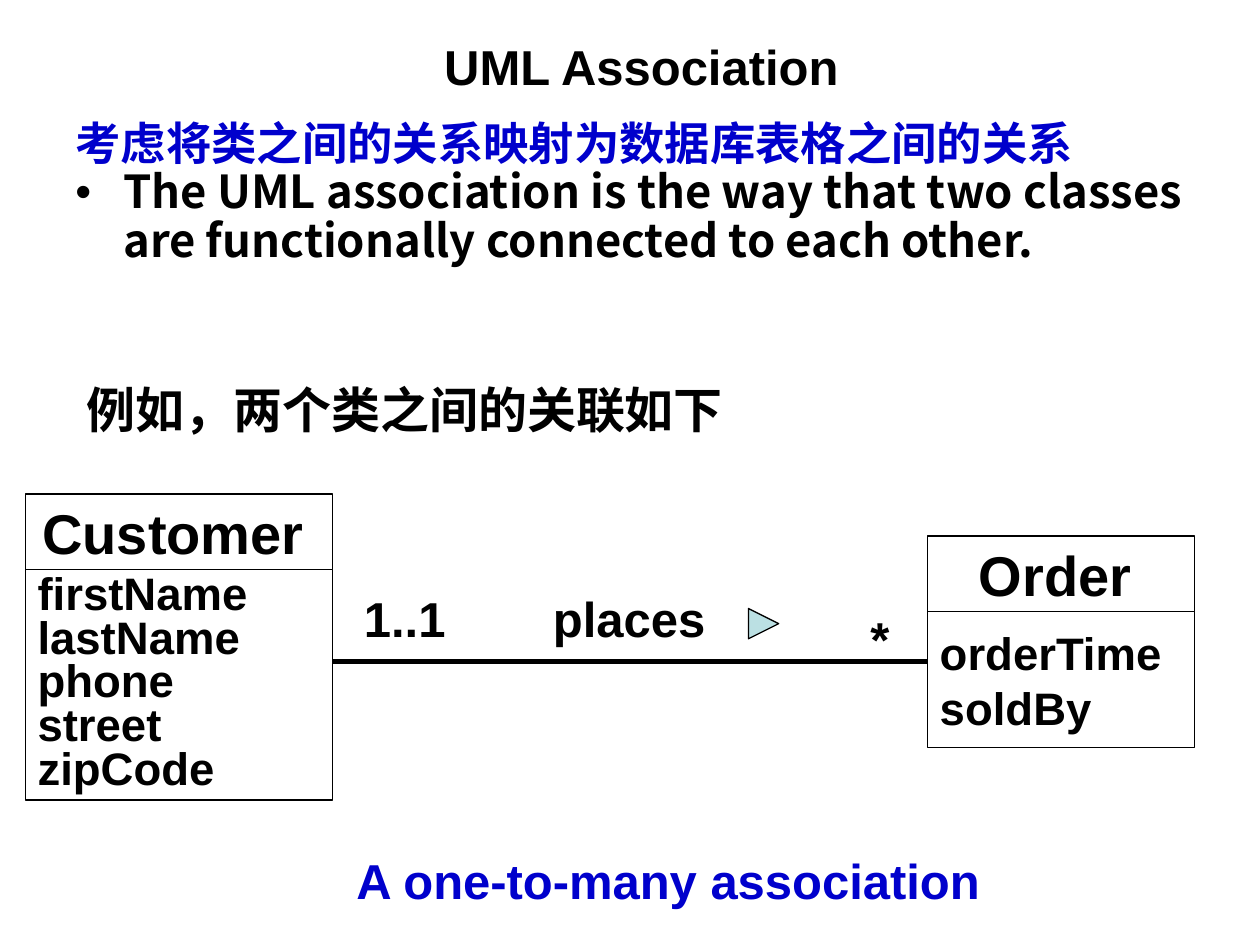
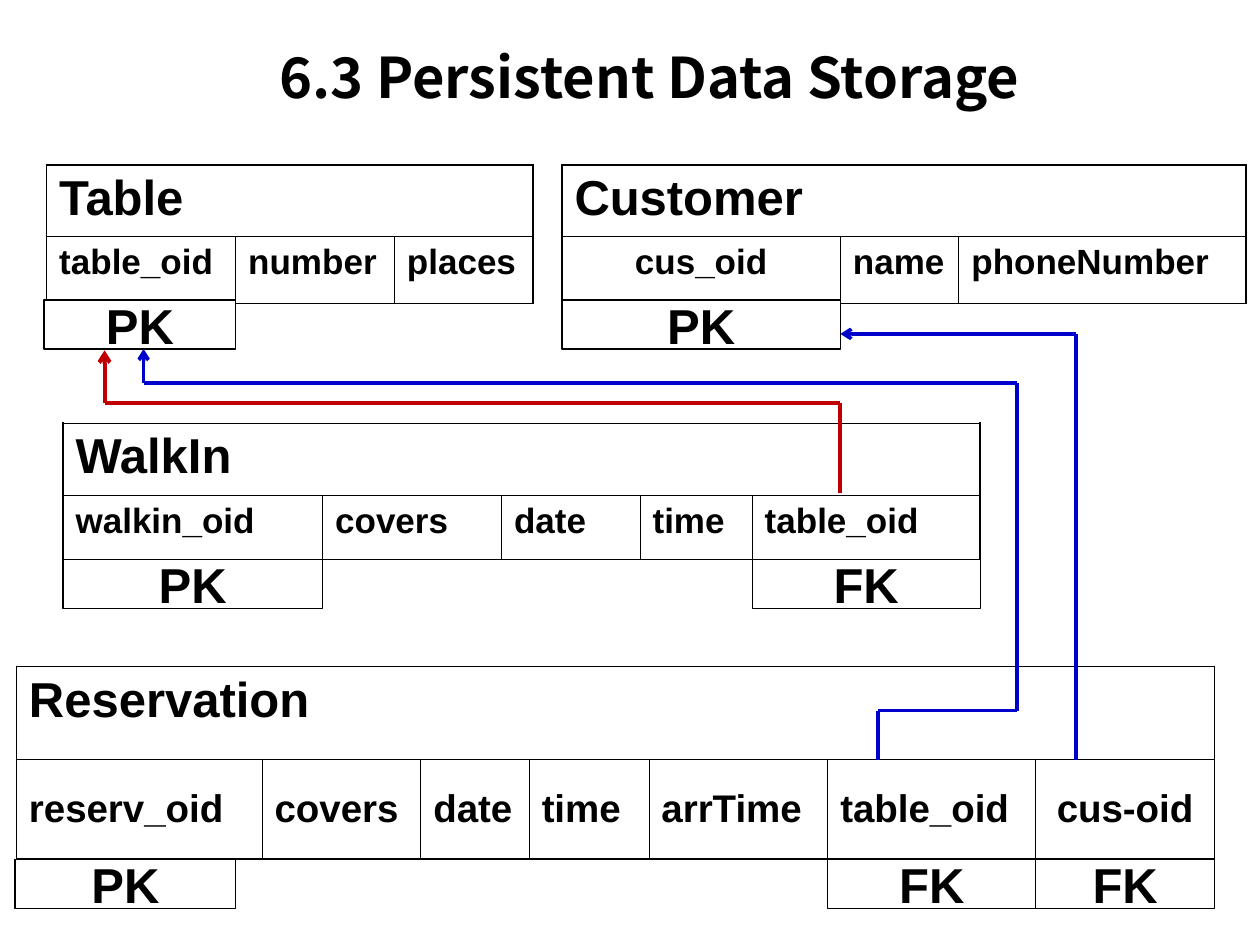
from dataclasses import dataclass
from itertools import pairwise

from lxml.etree import SubElement
from pptx import Presentation
from pptx.dml.color import RGBColor
from pptx.enum.shapes import MSO_CONNECTOR as LINE, MSO_SHAPE as SHAPE
from pptx.enum.text import MSO_ANCHOR as ANCHOR, PP_ALIGN as ALIGN
from pptx.oxml.ns import qn
from pptx.util import Emu, Inches, Pt

BLACK = RGBColor(0x00, 0x00, 0x00)
WHITE = RGBColor(0xFF, 0xFF, 0xFF)
BLUE = RGBColor(0x00, 0x00, 0xCC)
RED = RGBColor(0xC0, 0x00, 0x00)
PALE_TEAL = RGBColor(0xBB, 0xE0, 0xE3)
LATIN, CJK = "Arial", "Noto Sans CJK SC"

# The slide is a grid of 100 columns by 75 square rows.
WIDTH, HEIGHT = Inches(10), Inches(7.5)
UNIT = WIDTH / 100
OUTER, INNER = 1.08, 0.45
KEY_HEIGHT = 3.9


@dataclass(frozen=True)
class Box:
    left: float
    top: float
    width: float
    height: float

    def emu(self):
        return [grid(n) for n in (self.left, self.top, self.width, self.height)]


@dataclass(frozen=True)
class Style:
    size: float
    colour: RGBColor = BLACK
    font: str = LATIN


LABEL = Style(28)


@dataclass(frozen=True)
class Label:
    text: str
    box: Box
    style: Style = LABEL


@dataclass(frozen=True)
class UmlClass:
    name: str
    attributes: tuple[str, ...]
    left: float
    top: float
    width: float
    body_height: float
    spacing: float = 1.0
    header_height: float = 6


@dataclass(frozen=True)
class Key:
    text: str
    column: int
    left: float | None = None
    width: float | None = None


@dataclass(frozen=True)
class Relation:
    name: str
    fields: tuple[str, ...]
    left: float
    top: float
    columns: tuple[float, ...]
    rows: tuple[float, float]
    keys: tuple[Key, ...]
    key_top: float
    size: float = 20
    anchor: ANCHOR = ANCHOR.TOP
    centred: str = ""


@dataclass(frozen=True)
class Route:
    """A right-angled path along grid points, with an arrowhead at its end."""
    colour: RGBColor
    weight: float
    points: tuple[tuple[float, float], ...]


LABELS = (
    Label("1..1", Box(27.9, 46.2, 8.7, 5.7)),
    Label("*", Box(68.1, 47.8, 4.7, 5.7)),
    Label("places", Box(42.9, 46.2, 15, 5.7)),
    Label("A one-to-many association", Box(27.3, 67, 52.7, 5.2), Style(28, BLUE)),
    Label("例如，两个类之间的关联如下", Box(5.9, 29.6, 57.5, 5.7),
          Style(28, font=CJK)),
)
CLASSES = (
    UmlClass("Customer", ("firstName", "lastName", "phone", "street", "zipCode"),
             2, 39.2, 24.4, 18.3, spacing=0.8),
    UmlClass("Order", ("orderTime", "soldBy"), 73.6, 42.55, 21.2, 10.8),
)
RELATIONS = (
    Relation("WalkIn", ("walkin_oid", "covers", "date", "time", "table_oid"),
             5, 33.6, (20.6, 14.2, 11, 8.9, 18.1), (5.7, 5.1),
             (Key("PK", 0), Key("FK", 4)), 44.4),
    Relation("Reservation",
             ("reserv_oid", "covers", "date", "time", "arrTime", "table_oid", "cus-oid"),
             1.3, 52.9, (19.5, 12.6, 8.6, 9.5, 14.2, 16.5, 14.2), (7.4, 7.9),
             (Key("PK", 0, 1.2, 17.5), Key("FK", 6), Key("FK", 5)), 68.2,
             size=22, anchor=ANCHOR.MIDDLE, centred="cus-oid"),
    Relation("Table", ("table_oid", "number", "places"),
             3.7, 13.1, (15, 12.6, 11), (5.7, 5.3),
             (Key("PK", 0, 3.5, 15.2),), 23.8),
    Relation("Customer", ("cus_oid", "name", "phoneNumber"),
             44.6, 13.1, (22.1, 9.4, 22.8), (5.7, 5.3),
             (Key("PK", 0),), 23.8, centred="cus_oid"),
)
ROUTES = (
    Route(BLUE, 2, ((85.4, 60.3), (85.4, 26.5), (66.7, 26.5))),
    Route(BLUE, 2, ((69.7, 60.3), (69.7, 56.4), (80.7, 56.4), (80.7, 30.4),
                    (11.4, 30.4), (11.4, 27.7))),
    Route(RED, 2.25, ((66.7, 39.1), (66.7, 32), (8.3, 32), (8.3, 27.8))),
)


def grid(n: float) -> Emu:
    return Emu(round(n * UNIT))


def add_run(p, text: str, style: Style):
    r = p.add_run()
    r.text = text
    r.font.size, r.font.bold, r.font.name = Pt(style.size), True, style.font
    r.font.color.rgb = style.colour
    SubElement(r.font._element, qn("a:ea"), typeface=style.font)


def fill_frame(tf, lines, style: Style, align=ALIGN.LEFT, anchor=ANCHOR.TOP,
               spacing: float = 1.0):
    """Write one paragraph per line into a wrapping text frame."""
    tf.word_wrap = True
    tf.vertical_anchor = anchor
    for i, line in enumerate(lines):
        p = tf.add_paragraph() if i else tf.paragraphs[0]
        p.alignment, p.line_spacing = align, spacing
        add_run(p, line, style)


def add_text(s, box: Box, text: str, style: Style, **layout):
    sp = s.shapes.add_textbox(*box.emu())
    fill_frame(sp.text_frame, [text], style, **layout)


def add_title(s, box: Box, text: str, style: Style):
    add_text(s, box, text, style, align=ALIGN.CENTER, anchor=ANCHOR.MIDDLE)


def add_panel(s, box: Box, kind=SHAPE.RECTANGLE, fill: RGBColor = WHITE):
    sp = s.shapes.add_shape(kind, *box.emu())
    sp.shadow.inherit = False
    sp.fill.solid()
    sp.fill.fore_color.rgb = fill
    sp.line.color.rgb, sp.line.width = BLACK, Pt(0.75)
    return sp


def add_line(s, start, end, colour: RGBColor, weight: float, arrow: bool = False):
    points = [grid(n) for n in (*start, *end)]
    cx = s.shapes.add_connector(LINE.STRAIGHT, *points)
    cx.line.color.rgb, cx.line.width = colour, Pt(weight)
    if arrow:
        SubElement(cx.line._get_or_add_ln(), qn("a:tailEnd"), type="arrow")
    SubElement(cx._element.spPr, qn("a:effectLst"))


def add_route(s, route: Route):
    legs = list(pairwise(route.points))
    for i, (start, end) in enumerate(legs, 1):
        add_line(s, start, end, route.colour, route.weight, i == len(legs))


def add_class(s, uml: UmlClass):
    header = add_panel(s, Box(uml.left, uml.top, uml.width, uml.header_height))
    header.text_frame.margin_right = grid(1.9)
    fill_frame(header.text_frame, [uml.name], Style(32), ALIGN.CENTER, ANCHOR.MIDDLE)
    body = add_panel(s, Box(uml.left, uml.top + uml.header_height,
                            uml.width, uml.body_height))
    fill_frame(body.text_frame, uml.attributes, Style(26),
               anchor=ANCHOR.MIDDLE, spacing=uml.spacing)


def set_borders(cell, weights: dict[str, float]):
    tc_pr = cell._tc.get_or_add_tcPr()
    for side, weight in weights.items():
        ln = SubElement(tc_pr, qn(f"a:ln{side}"), w=str(Pt(weight)))
        SubElement(SubElement(ln, qn("a:solidFill")), qn("a:srgbClr"), val=str(BLACK))


def add_relation(s, rel: Relation):
    """Draw a table with its name above its fields, and key boxes below."""
    count = len(rel.columns)
    box = Box(rel.left, rel.top, sum(rel.columns), sum(rel.rows))
    table = s.shapes.add_table(2, count, *box.emu()).table
    table.first_row = table.horz_banding = False
    for column, width in zip(table.columns, rel.columns):
        column.width = grid(width)
    for y, height in enumerate(rel.rows):
        table.rows[y].height = grid(height)
        for x in range(count):
            cell = table.cell(y, x)
            set_borders(cell, {
                "L": OUTER if x == 0 else INNER,
                "R": OUTER if x == count - 1 or y == 0 else INNER,
                "T": OUTER if y == 0 else INNER,
                "B": OUTER if y == 1 else INNER,
            })
            cell.fill.background()
    table.cell(0, 0).merge(table.cell(0, count - 1))
    add_run(table.cell(0, 0).text_frame.paragraphs[0], rel.name, LABEL)
    for x, field in enumerate(rel.fields):
        cell = table.cell(1, x)
        cell.vertical_anchor = rel.anchor
        p = cell.text_frame.paragraphs[0]
        p.alignment = ALIGN.CENTER if field == rel.centred else ALIGN.LEFT
        add_run(p, field, Style(rel.size))
    for key in rel.keys:
        left = key.left or rel.left + sum(rel.columns[:key.column])
        width = key.width or rel.columns[key.column]
        sp = add_panel(s, Box(left, rel.key_top, width, KEY_HEIGHT))
        fill_frame(sp.text_frame, [key.text], LABEL, ALIGN.CENTER, ANCHOR.MIDDLE)


def add_definition(s):
    sp = s.shapes.add_textbox(*Box(5, 9.1, 90, 18.9).emu())
    tf = sp.text_frame
    tf.word_wrap = True
    lines = (
        ("考虑将类之间的关系映射为数据库表格之间的关系", BLUE, ""),
        ("The UML association is the way that two classes are functionally "
         "connected to each other.", BLACK, "•"),
    )
    for i, (text, colour, bullet) in enumerate(lines):
        p = tf.add_paragraph() if i else tf.paragraphs[0]
        p_pr = p._p.get_or_add_pPr()
        p_pr.set("marL", str(grid(3.8)))
        p_pr.set("indent", str(-grid(3.8)))
        if bullet:
            SubElement(SubElement(p_pr, qn("a:buClr")), qn("a:srgbClr"), val=str(BLACK))
            SubElement(p_pr, qn("a:buFont"), typeface=LATIN)
            SubElement(p_pr, qn("a:buChar"), char=bullet)
        p.line_spacing = 0.9
        add_run(p, text, Style(25.9, colour, CJK))


def build_association(s):
    add_title(s, Box(5.9, 2.1, 90, 6.3), "UML Association", LABEL)
    add_definition(s)
    for uml in CLASSES:
        add_class(s, uml)
    add_line(s, (26.4, 52.5), (73.6, 52.5), BLACK, 2.5)
    direction = add_panel(s, Box(59.4, 48.3, 2.4, 2.4),
                          SHAPE.ISOSCELES_TRIANGLE, PALE_TEAL)
    direction.rotation = 90
    for label in LABELS:
        add_text(s, label.box, label.text, label.style)


def build_storage(s):
    add_title(s, Box(16, 3, 71.1, 6.1), "6.3 Persistent Data Storage",
              Style(32, font=CJK))
    for rel in RELATIONS:
        add_relation(s, rel)
    for route in ROUTES:
        add_route(s, route)


def main():
    prs = Presentation()
    prs.slide_width, prs.slide_height = WIDTH, HEIGHT
    for build in (build_association, build_storage):
        build(prs.slides.add_slide(prs.slide_layouts[6]))
    prs.save("out.pptx")


if __name__ == "__main__":
    main()
